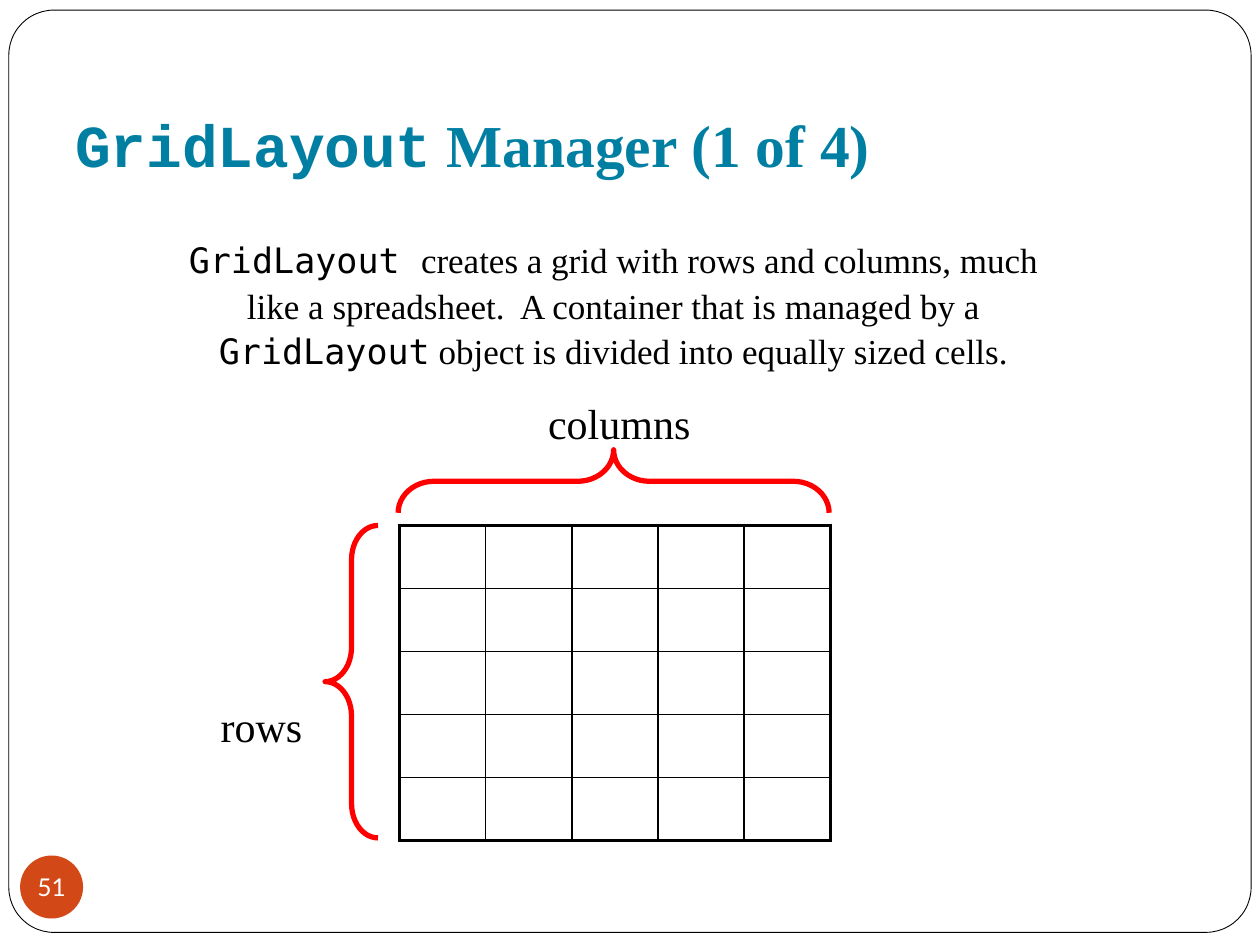
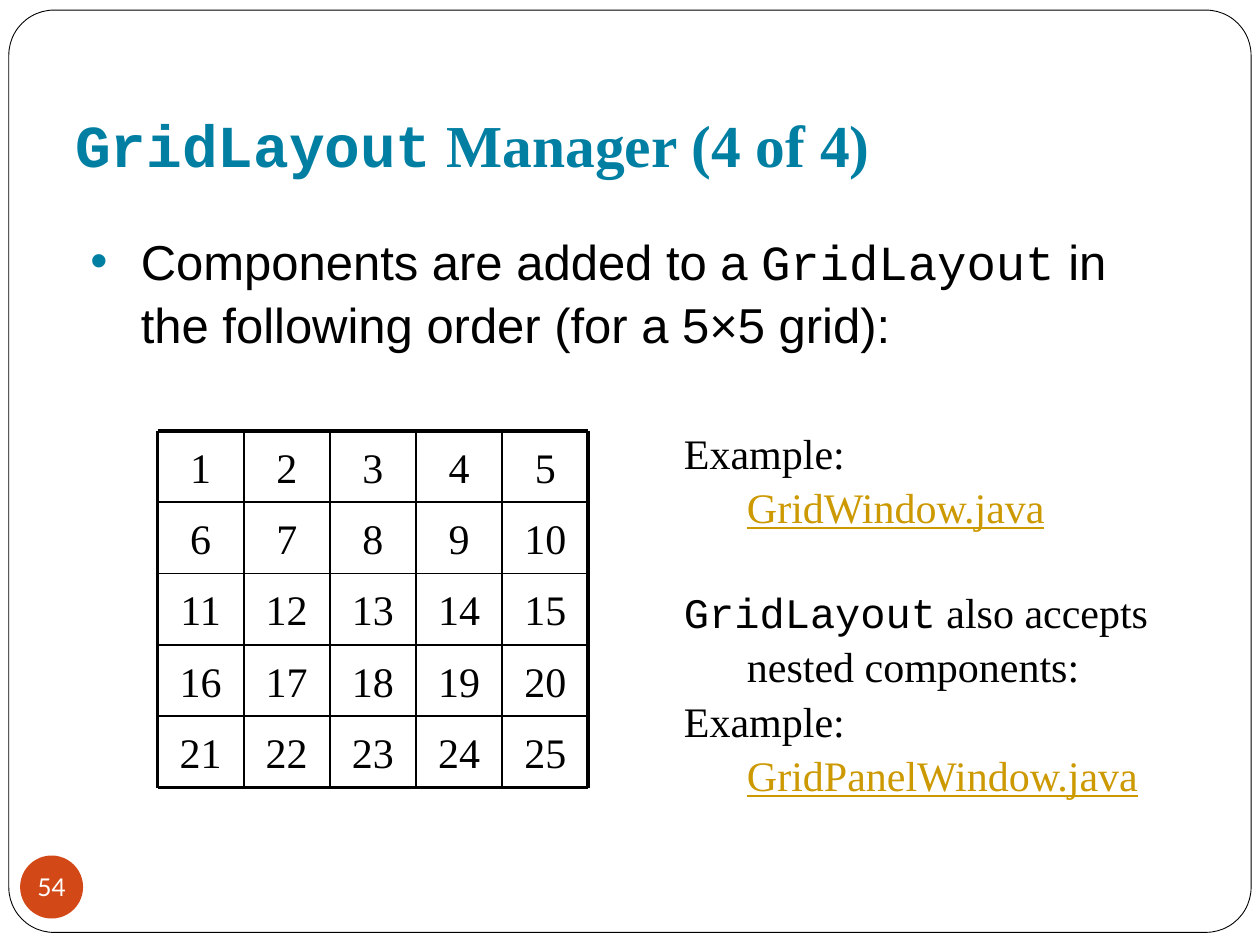
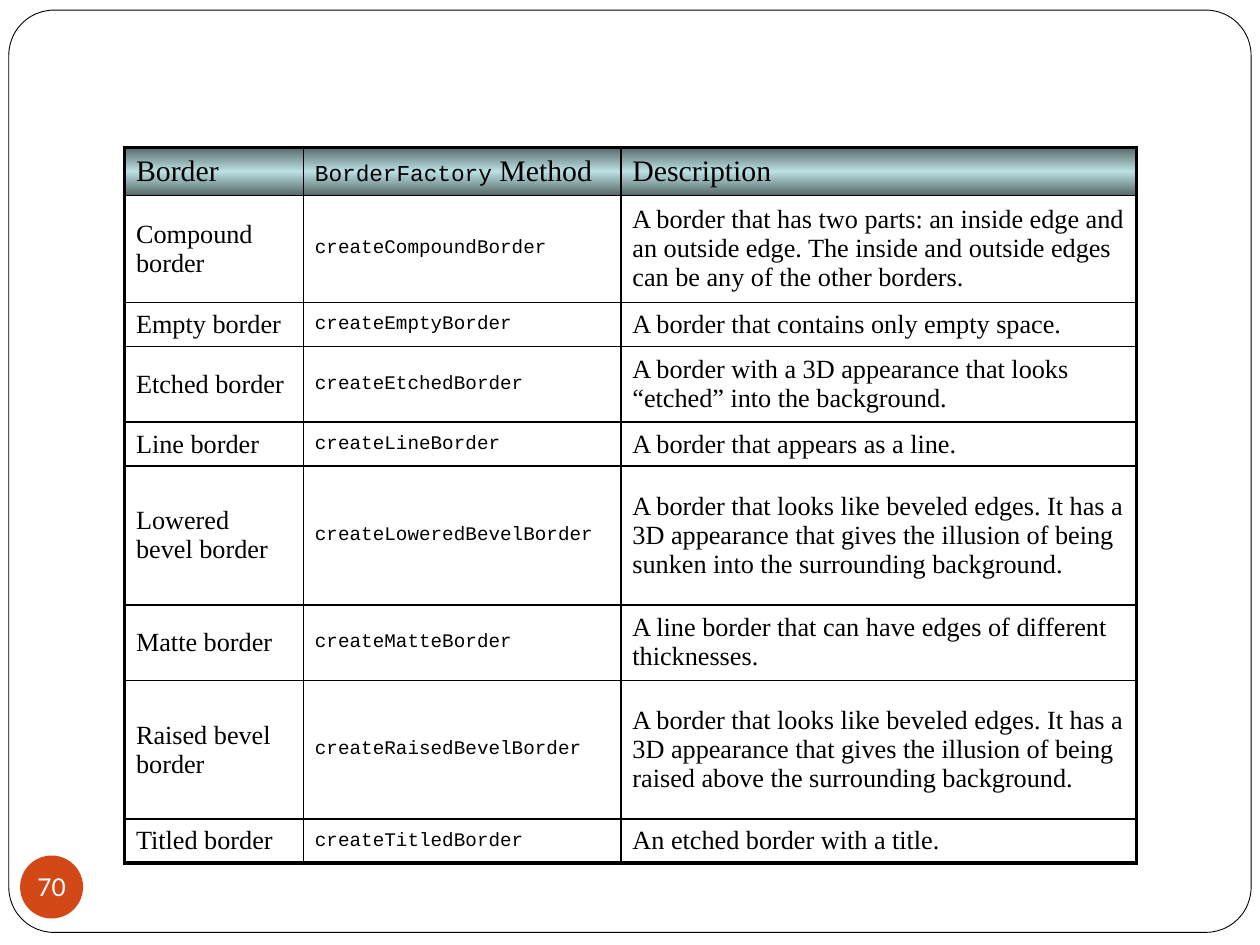
from itertools import product

from pptx import Presentation
from pptx.dml.color import RGBColor
from pptx.enum.shapes import MSO_CONNECTOR as Connector, MSO_SHAPE as Shape
from pptx.enum.text import MSO_ANCHOR as Anchor, PP_ALIGN as Align
from pptx.oxml import parse_xml
from pptx.oxml.ns import nsdecls
from pptx.util import Inches, Pt

COLORS = {
    "ink": "000000", "paper": "FFFFFF", "title": "007FA3", "badge": "D34817",
    "brace": "FF0000", "link": "CC9900", "head_dark": "576869", "head_light": "BBE0E3",
}
SERIF, SANS, CODE, MONO, BADGE = (
    "Times New Roman", "Arial", "Courier New", "DejaVu Sans Mono", "Lato")
THICK, THIN = 2.25, 1
LINE_SPACING = 1.08
GRID_SIZE = 5
GRID_WIDTH = 3.42


def set_all(target, values):
    """Set each attribute of target from a dict of values."""
    for name, value in values.items():
        setattr(target, name, value)


def drawing(tag, content="", attributes=""):
    """Make one element of the drawing namespace."""
    return parse_xml(f'<a:{tag} {nsdecls("a")} {attributes}>{content}</a:{tag}>')


def solid(color):
    """Give the markup of a solid fill."""
    return f'<a:solidFill><a:srgbClr val="{COLORS[color]}"/></a:solidFill>'


class Deck:
    """Holds the shared style and the current slide."""

    def __init__(self):
        """Start an empty 10 by 7.5 inch presentation."""
        self.presentation = Presentation()
        set_all(self.presentation, {"slide_width": Inches(10), "slide_height": Inches(7.5)})
        self.slide = None

    def new_slide(self, number):
        """Add a slide with its rounded frame and number badge."""
        self.slide = self.presentation.slides.add_slide(self.presentation.slide_layouts[6])
        self.shape(Shape.ROUNDED_RECTANGLE, (0.07, 0.08, 9.86, 7.32), [0.049],
                   fill="paper", line="ink", width=0.5)
        badge = self.shape(Shape.OVAL, (0.16, 6.79, 0.5, 0.5), fill="badge")
        set_all(badge.text_frame, {
            "margin_left": 0, "margin_top": 0, "margin_right": 0, "margin_bottom": 0,
            "word_wrap": False, "vertical_anchor": Anchor.MIDDLE})
        self.add_runs(badge.text_frame.paragraphs[0], [(str(number), {})],
                      {"size": 14, "name": BADGE, "color": "paper"},
                      {"alignment": Align.CENTER})

    def shape(self, kind, box, adjustments=(), fill=None, line=None, width=1, rotation=0):
        """Draw a preset shape."""
        shape = self.slide.shapes.add_shape(kind, *map(Inches, box))
        shape.shadow.inherit = False
        shape.rotation = rotation
        for index, value in enumerate(adjustments):
            shape.adjustments[index] = value
        for part, color in ((shape.fill, fill), (shape.line.fill, line)):
            if color:
                part.solid()
                part.fore_color.rgb = RGBColor.from_string(COLORS[color])
            else:
                part.background()
        if line:
            shape.line.width = Pt(width)
        return shape

    def add_runs(self, paragraph, runs, base, layout=None):
        """Fill a paragraph with (text, changes) runs; a newline is a line break."""
        set_all(paragraph, layout or {})
        for text, changes in runs:
            if text == "\n":
                paragraph.add_line_break()
                continue
            style = {"size": 24, "name": SERIF, "color": "ink", **base, **changes}
            run = paragraph.add_run()
            run.text = text
            run.font.color.rgb = RGBColor.from_string(COLORS[style.pop("color")])
            style["size"] = Pt(style["size"])
            set_all(run.font, style)

    def text(self, box, paragraphs, base=None, layout=None, frame=None, shapes=None):
        """Add a text box with one list of runs per paragraph."""
        shapes = shapes or self.slide.shapes
        text_frame = shapes.add_textbox(*map(Inches, box)).text_frame
        set_all(text_frame, {"word_wrap": True, **(frame or {})})
        for index, runs in enumerate(paragraphs):
            paragraph = text_frame.add_paragraph() if index else text_frame.paragraphs[0]
            self.add_runs(paragraph, runs, base or {},
                          {"line_spacing": LINE_SPACING, **(layout or {})})
        return text_frame

    def title(self, part):
        """Add the title of one part of the series."""
        self.text((0.5, 0.27, 9, 1.2),
                  [[("GridLayout", {"name": CODE}), (f" Manager ({part} of 4)", {})]],
                  {"size": 34, "color": "title", "bold": True},
                  frame={"vertical_anchor": Anchor.BOTTOM})

    def label(self, box, text):
        """Add a centred one-line label."""
        self.text(box, [[(text, {})]], layout={"alignment": Align.CENTER},
                  frame={"word_wrap": False})

    def indent(self, paragraph, left, first, bullet=None):
        """Set a hanging indent and, if given, a coloured bullet."""
        properties = paragraph._p.get_or_add_pPr()
        properties.set("marL", str(Inches(left)))
        properties.set("indent", str(Inches(first)))
        if bullet:
            properties.append(drawing("buClr", f'<a:srgbClr val="{COLORS["title"]}"/>'))
            properties.append(drawing("buFont", attributes=f'typeface="{SANS}"'))
            properties.append(drawing("buChar", attributes=f'char="{bullet}"'))

    def line(self, shapes, start, end, width):
        """Draw a straight black line."""
        connector = shapes.add_connector(Connector.STRAIGHT, *map(Inches, (*start, *end)))
        connector.line.color.rgb = RGBColor.from_string(COLORS["ink"])
        connector.line.width = Pt(width)
        connector._element.spPr.append(drawing("effectLst"))

    def table(self, left, top, widths, heights):
        """Add a plain table with a thick outline and thin inner lines."""
        table = self.slide.shapes.add_table(
            len(heights), len(widths),
            *map(Inches, (left, top, sum(widths), sum(heights)))).table
        set_all(table, {"first_row": False, "horz_banding": False})
        for column, width in zip(table.columns, widths):
            column.width = Inches(width)
        for row, height in zip(table.rows, heights):
            row.height = Inches(height)
        for row, column in product(range(len(heights)), range(len(widths))):
            cell = table.cell(row, column)
            outer = {"lnL": column == 0, "lnR": column == len(widths) - 1,
                     "lnT": row == 0, "lnB": row == len(heights) - 1}
            for side, is_outer in outer.items():
                width = Pt(THICK if is_outer else THIN)
                cell._tc.get_or_add_tcPr().append(
                    drawing(side, solid("ink"), f'w="{width}"'))
            cell.fill.background()
        return table

    def header_fill(self, cell):
        """Give a cell the vertical dark-light-dark gradient."""
        properties = cell._tc.get_or_add_tcPr()
        properties.remove(properties[-1])
        stops = "".join(
            f'<a:gs pos="{position * 1000}"><a:srgbClr val="{COLORS[color]}"/></a:gs>'
            for position, color in ((0, "head_dark"), (50, "head_light"), (100, "head_dark")))
        properties.append(drawing(
            "gradFill", f'<a:gsLst>{stops}</a:gsLst><a:lin ang="5400000" scaled="1"/>'))

    def numbered_grid(self, left, top, width, height):
        """Draw a grouped grid of lines whose cells are numbered row by row."""
        shapes = self.slide.shapes.add_group_shape().shapes
        cell_width, cell_height = width / GRID_SIZE, height / GRID_SIZE
        for index in range(GRID_SIZE ** 2):
            row, column = divmod(index, GRID_SIZE)
            box = (left + column * cell_width, top + row * cell_height,
                   cell_width, cell_height)
            self.text(box, [[(str(index + 1), {})]],
                      layout={"alignment": Align.CENTER}, shapes=shapes)
        for index in range(GRID_SIZE + 1):
            weight = THICK if index in (0, GRID_SIZE) else THIN
            x, y = left + index * cell_width, top + index * cell_height
            self.line(shapes, (left, y), (left + width, y), weight)
            self.line(shapes, (x, top), (x, top + height), weight)


def rows_and_columns(deck):
    """Build the slide that explains the grid."""
    deck.new_slide(51)
    deck.title(1)
    mono = {"name": MONO}
    deck.text((1.33, 1.82, 7.08, 1.1), [[
        ("GridLayout ", mono),
        ("creates a grid with rows and columns, much like a spreadsheet.  "
         "A container that is managed by a ", {}),
        ("GridLayout", mono),
        (" object is divided into equally sized cells.", {}),
    ]], {"size": 20}, {"alignment": Align.CENTER})
    deck.table(3.17, 4.17, [GRID_WIDTH / GRID_SIZE] * GRID_SIZE, [0.5] * GRID_SIZE)
    brace = {"line": "brace", "width": 3}
    deck.shape(Shape.LEFT_BRACE, (4.62, 2.11, 0.5, GRID_WIDTH), [0.569, 0.5],
               rotation=90, **brace)
    deck.shape(Shape.LEFT_BRACE, (2.58, 4.17, 0.42, 2.48), [0.647, 0.5], **brace)
    deck.label((4.25, 3.07, 1.33, 0.5), "columns")
    deck.label((1.65, 5.48, 0.85, 0.5), "rows")


def order_of_cells(deck):
    """Build the slide on the order in which cells are filled."""
    deck.new_slide(54)
    deck.title(4)
    code, link = {"name": CODE}, {"color": "link", "underline": True}
    body = deck.text((0.5, 1.75, 9, 4.95), [[
        ("Components are added to a ", {}),
        ("GridLayout", code),
        (" in the following order (for a 5×5 grid):", {}),
    ]], {"size": 28, "name": SANS}, {"space_before": Pt(15)})
    deck.indent(body.paragraphs[0], 0.52, -0.4, "•")
    deck.numbered_grid(1.25, 3.42, GRID_WIDTH, 2.83)
    examples = deck.text((5.33, 3.31, 4.08, 2.93), [
        [("Example:", {}), ("\n", {}), ("GridWindow.java", link)],
        [("GridLayout", code), (" also accepts nested components:", {})],
        [("Example:", {}), ("\n", {}), ("GridPanelWindow.java", link)],
    ])
    examples.paragraphs[1].space_before = Pt(28.7)
    for paragraph in examples.paragraphs:
        deck.indent(paragraph, 0.5, -0.5)


BEVEL = ("A border that looks like beveled edges. It has a 3D appearance that gives "
         "the illusion of being {} the surrounding background.")
BORDERS = [
    ("Compound border", "createCompoundBorder", 0.85,
     "A border that has two parts: an inside edge and an outside edge. "
     "The inside and outside edges can be any of the other borders."),
    ("Empty border", "createEmptyBorder", 0.35, "A border that contains only empty space."),
    ("Etched border", "createEtchedBorder", 0.6,
     "A border with a 3D appearance that looks “etched” into the background."),
    ("Line border", "createLineBorder", 0.35, "A border that appears as a line."),
    ("Lowered bevel border", "createLoweredBevelBorder", 1.1, BEVEL.format("sunken into")),
    ("Matte border", "createMatteBorder", 0.6,
     "A line border that can have edges of different thicknesses."),
    ("Raised bevel border", "createRaisedBevelBorder", 1.1, BEVEL.format("raised above")),
    ("Titled border", "createTitledBorder", 0.35, "An etched border with a title."),
]


def border_methods(deck):
    """Build the slide with the table of borders."""
    deck.new_slide(70)
    heights = [0.38] + [height for _, _, height, _ in BORDERS]
    table = deck.table(0.99, 1.17, [1.42, 2.52, 4.09], heights)
    header = [[("Border", {})],
              [("BorderFactory", {"name": CODE, "size": 13}), (" Method", {})],
              [("Description", {})]]
    rows = [header] + [
        [[(name, {})], [(method, {"name": CODE, "size": 11})], [(description, {})]]
        for name, method, _, description in BORDERS]
    for row, cells in enumerate(rows):
        for column, runs in enumerate(cells):
            cell = table.cell(row, column)
            set_all(cell, {
                "vertical_anchor": Anchor.MIDDLE,
                "margin_left": Inches(0.09), "margin_right": Inches(0.09),
                "margin_top": Inches(0.05), "margin_bottom": Inches(0.05)})
            deck.add_runs(cell.text_frame.paragraphs[0], runs, {"size": 15 if row else 17})
            if row == 0:
                deck.header_fill(cell)


deck = Deck()
rows_and_columns(deck)
order_of_cells(deck)
border_methods(deck)
deck.presentation.save("out.pptx")
